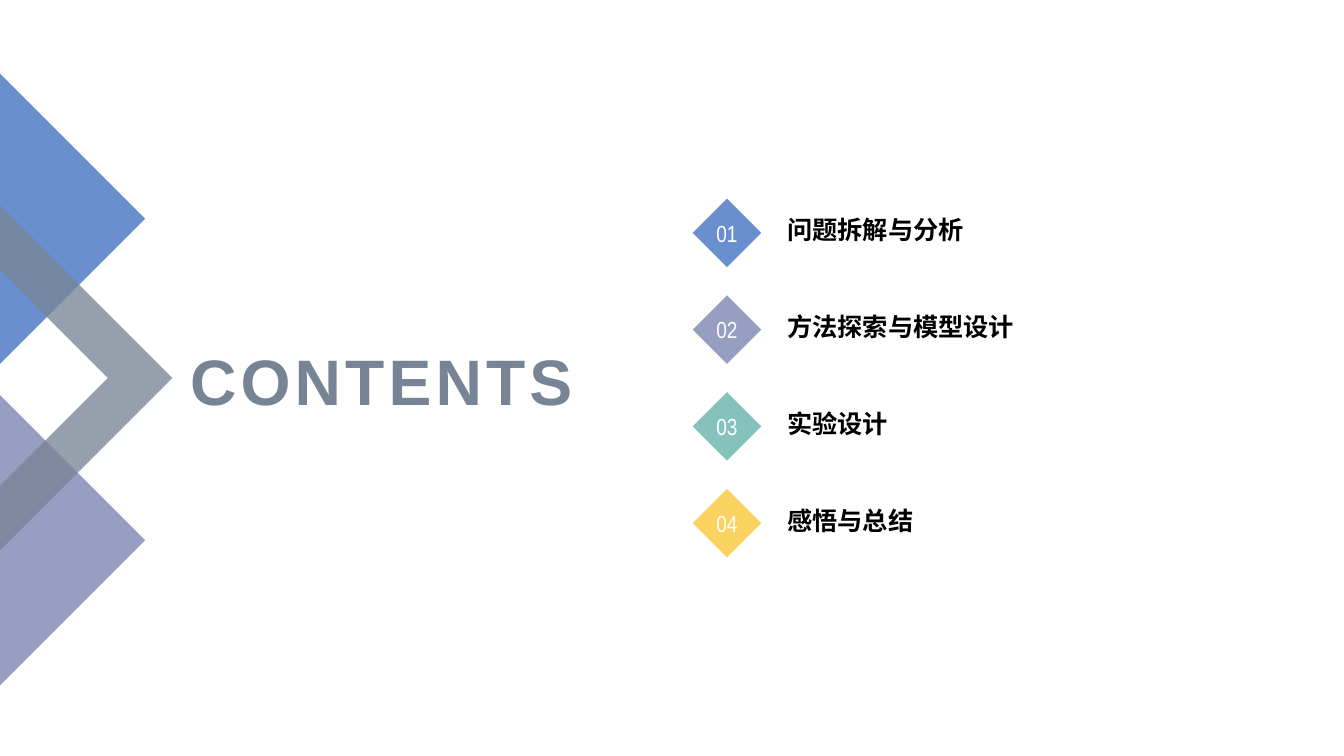
from lxml import etree
from pptx import Presentation
from pptx.dml.color import RGBColor
from pptx.enum.shapes import MSO_SHAPE
from pptx.enum.text import MSO_ANCHOR, MSO_AUTO_SIZE, PP_ALIGN
from pptx.oxml.ns import qn
from pptx.util import Inches, Pt

DIAMOND = MSO_SHAPE.DIAMOND
MIDDLE = MSO_ANCHOR.MIDDLE
LEFT, CENTER, RIGHT = PP_ALIGN.LEFT, PP_ALIGN.CENTER, PP_ALIGN.RIGHT

COLORS = {
    "blue": "698FCE",
    "purple": "969EC2",
    "teal": "85C2BC",
    "yellow": "FAD25F",
    "slate": "778495",
    "white": "FFFFFF",
    "black": "000000",
}


def paint(sp, color):
    sp.shadow.inherit = False
    sp.fill.solid()
    sp.fill.fore_color.rgb = RGBColor.from_string(COLORS[color])
    sp.line.fill.background()


def write(sp, text, size, font, color, align, bold=False, wrap=False):
    tf = sp.text_frame
    tf.auto_size = MSO_AUTO_SIZE.NONE
    tf.word_wrap = wrap
    tf.vertical_anchor = MIDDLE
    p = tf.paragraphs[0]
    p.alignment = align
    r = p.add_run()
    r.text = text
    r.font.size = Pt(size)
    r.font.name = font
    r.font.bold = bold
    r.font.color.rgb = RGBColor.from_string(COLORS[color])
    return r


prs = Presentation()
prs.slide_width, prs.slide_height = Inches(13.33), Inches(7.5)
s = prs.slides.add_slide(prs.slide_layouts[5])

# Triangles and chevron on the left edge
outlines = [
    ("purple", 100, [(0, 3.92), (1.44, 5.36), (0, 6.8)]),
    ("blue", 100, [(0, 0.73), (1.44, 2.17), (0, 3.61)]),
    ("slate", 77, [(0, 2.04), (1.71, 3.75), (0, 5.46),
                   (0, 4.82), (1.07, 3.75), (0, 2.68)]),
]
for color, opacity, points in outlines:
    corners = [(Inches(x), Inches(y)) for x, y in points]
    fb = s.shapes.build_freeform(*corners[0])
    fb.add_line_segments(corners[1:], close=True)
    sp = fb.convert_to_shape()
    paint(sp, color)
    if opacity < 100:
        clr = sp._element.spPr.find(qn("a:solidFill"))[0]
        etree.SubElement(clr, qn("a:alpha")).set("val", str(opacity * 1000))

# Title
title = s.shapes.title
title.left, title.top = Inches(1.69), Inches(3.26)
title.width, title.height = Inches(4.09), Inches(1.01)
r = write(title, "CONTENTS", 45.9, "Arial", "slate", RIGHT, bold=True, wrap=True)
r.font._element.set("spc", "300")

# Numbered agenda
topics = [
    ("问题拆解与分析", "blue"),
    ("方法探索与模型设计", "purple"),
    ("实验设计", "teal"),
    ("感悟与总结", "yellow"),
]
SIZE, PITCH = 0.68, 0.96
for i, (topic, color) in enumerate(topics):
    top = 1.97 + i * PITCH
    sp = s.shapes.add_shape(DIAMOND, Inches(6.87), Inches(top),
                            Inches(SIZE), Inches(SIZE))
    paint(sp, color)
    write(sp, f"{i + 1:02d}", 16.6, "Arial Narrow", "white", CENTER)
    tb = s.shapes.add_textbox(Inches(7.71), Inches(top - 0.03),
                              Inches(4.33), Inches(SIZE))
    write(tb, topic, 18, "Arial", "black", LEFT, bold=True)

prs.save("out.pptx")
